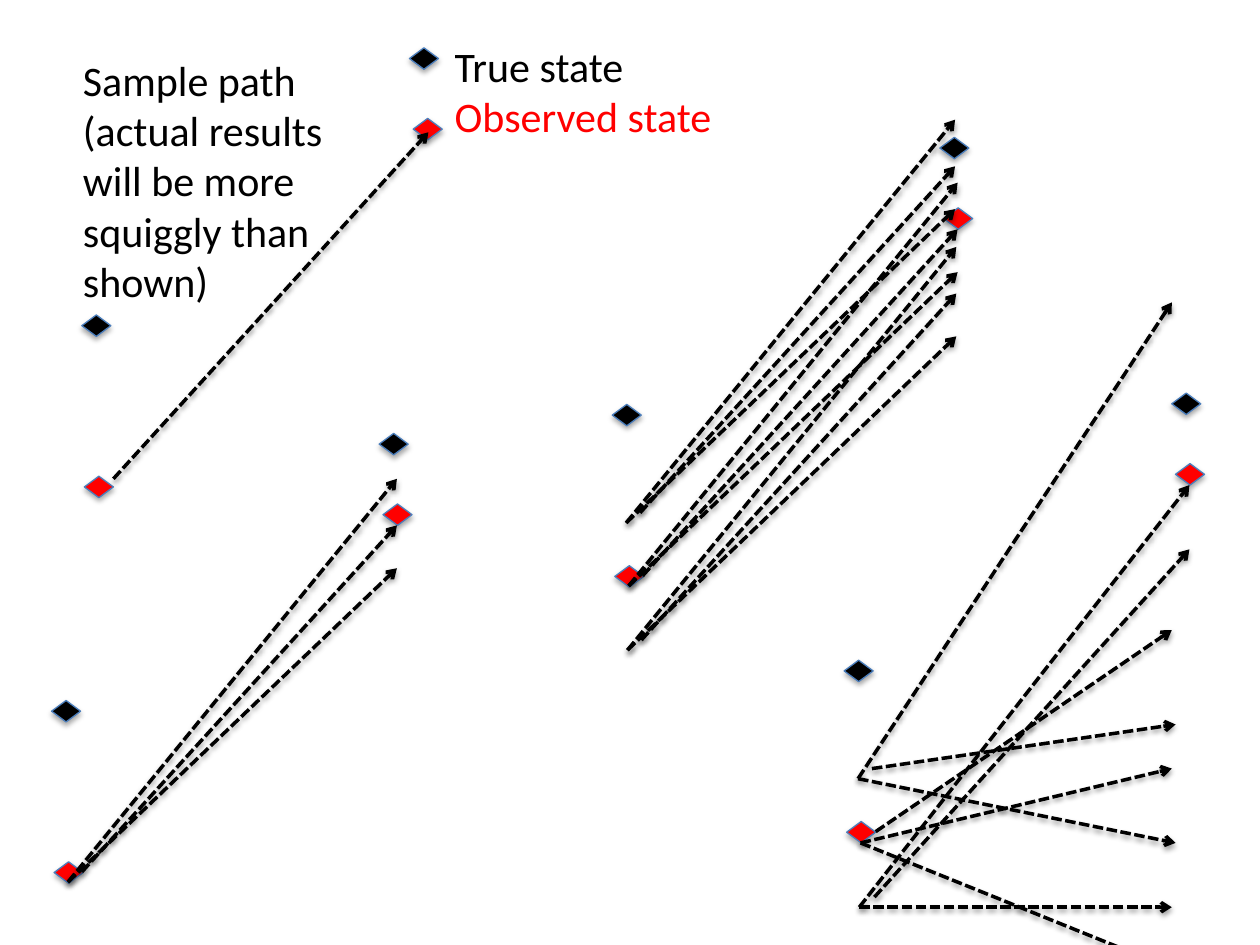
"""Build a slide of sample paths between true and observed states."""
from dataclasses import dataclass

from lxml.etree import SubElement
from pptx import Presentation
from pptx.dml.color import RGBColor
from pptx.enum.dml import MSO_LINE
from pptx.enum.shapes import MSO_CONNECTOR, MSO_SHAPE
from pptx.enum.text import MSO_AUTO_SIZE
from pptx.oxml.ns import qn
from pptx.util import Inches, Pt


@dataclass(frozen=True)
class Theme:
    """Colours, type and line sizes of the slide."""
    true_state: RGBColor = RGBColor(0, 0, 0)
    observed: RGBColor = RGBColor(255, 0, 0)
    outline: RGBColor = RGBColor(0x4B, 0x7E, 0xBC)
    font: str = "Calibri"
    text_size: float = 24
    outline_width: float = 0.75
    arrow_width: float = 2


THEME = Theme()
DIAMOND_SIZE = (0.23, 0.17)
STATE_OFFSETS = (
    (0, 0, THEME.observed),
    (2.61, -2.84, THEME.observed),
    (-0.02, -1.28, THEME.true_state),
    (2.58, -3.4, THEME.true_state),
)
FAN_OFFSETS = (
    ((0.11, -0.08), (2.61, -2.83)),
    ((0, 0), (2.61, -2.49)),
    ((0, 0), (2.61, -3.2)),
)
DIVERGING_PATHS = (
    ((6.95, 6.6), (9.3, 5)),
    ((6.83, 6.69), (9.33, 7.7)),
    ((6.83, 6.69), (9.3, 6.1)),
    ((6.92, 6.1), (9.33, 5.75)),
    ((6.81, 6.18), (9.3, 2.4)),
    ((6.81, 6.18), (9.33, 6.69)),
    ((6.94, 7.12), (9.44, 4.36)),
    ((6.82, 7.2), (9.3, 7.2)),
    ((6.82, 7.2), (9.44, 3.85)),
)


def fan(x, y):
    """Return the three paths that leave one point."""
    return [((x + start_x, y + start_y), (x + end_x, y + end_y))
            for (start_x, start_y), (end_x, end_y) in FAN_OFFSETS]


PANELS = (
    ((0.43, 6.84), fan(0.54, 7)),
    ((6.72, 6.52), DIVERGING_PATHS),
    ((4.88, 4.49), fan(4.99, 4.65) + fan(4.97, 4.15) + fan(4.98, 5.16)),
    ((0.67, 3.78), [((0.9, 3.8), (3.4, 1.05))]),
)


def add_shadow(item, distance, opacity):
    """Give an item a soft shadow straight below it."""
    effects = SubElement(item._element.spPr, qn("a:effectLst"))
    shadow = SubElement(effects, qn("a:outerShdw"), blurRad=str(Pt(3.1)),
                        dist=str(Pt(distance)), dir="5400000", rotWithShape="0")
    colour = SubElement(shadow, qn("a:srgbClr"), val="000000")
    SubElement(colour, qn("a:alpha"), val=str(opacity * 1000))


def add_state(group, x, y, colour):
    """Add a diamond that marks one state."""
    width, height = DIAMOND_SIZE
    diamond = group.shapes.add_shape(MSO_SHAPE.DIAMOND, Inches(x), Inches(y),
                                     Inches(width), Inches(height))
    diamond.fill.solid()
    diamond.fill.fore_color.rgb = colour
    diamond.line.color.rgb = THEME.outline
    diamond.line.width = Pt(THEME.outline_width)
    add_shadow(diamond, distance=1.8, opacity=35)


def add_path(group, start, end):
    """Add a dashed arrow from start to end."""
    ends = [Inches(value) for value in (*start, *end)]
    arrow = group.shapes.add_connector(MSO_CONNECTOR.STRAIGHT, *ends)
    arrow.line.color.rgb = THEME.true_state
    arrow.line.width = Pt(THEME.arrow_width)
    arrow.line.dash_style = MSO_LINE.SQUARE_DOT
    SubElement(arrow.line._get_or_add_ln(), qn("a:tailEnd"), type="arrow")
    add_shadow(arrow, distance=1.6, opacity=38)


def add_span(para, text, size=THEME.text_size, colour=THEME.true_state):
    """Add formatted text to a paragraph."""
    span = para.add_run()
    span.text = text
    span.font.name = THEME.font
    span.font.size = Pt(size)
    span.font.color.rgb = colour


def add_label(group, bounds, lines):
    """Add a wrapping text box with one paragraph per line."""
    box = group.shapes.add_textbox(*(Inches(value) for value in bounds))
    frame = box.text_frame
    frame.word_wrap = True
    frame.auto_size = MSO_AUTO_SIZE.SHAPE_TO_FIT_TEXT
    for index, (text, colour) in enumerate(lines):
        para = frame.add_paragraph() if index else frame.paragraphs[0]
        add_span(para, text, colour=colour)


def add_panel(page, origin, paths):
    """Add a group with its four states and its paths."""
    group = page.shapes.add_group_shape()
    x, y = origin
    for offset_x, offset_y, colour in STATE_OFFSETS:
        add_state(group, x + offset_x, y + offset_y, colour)
    for start, end in paths:
        add_path(group, start, end)
    return group


def main():
    """Build and save the deck."""
    deck = Presentation()
    deck.slide_width, deck.slide_height = Inches(10), Inches(7.5)
    page = deck.slides.add_slide(deck.slide_layouts[6])
    groups = [add_panel(page, origin, paths) for origin, paths in PANELS]
    legend_group = groups[-1]
    add_label(legend_group, (0.56, 0.38, 2.29, 2.12), [
        ("Sample path (actual results will be more squiggly than", THEME.true_state),
        ("shown)", THEME.true_state),
    ])
    add_label(legend_group, (3.51, 0.27, 2.29, 0.91), [
        ("True state", THEME.true_state),
        ("Observed state", THEME.observed),
    ])
    deck.save("out.pptx")


main()
